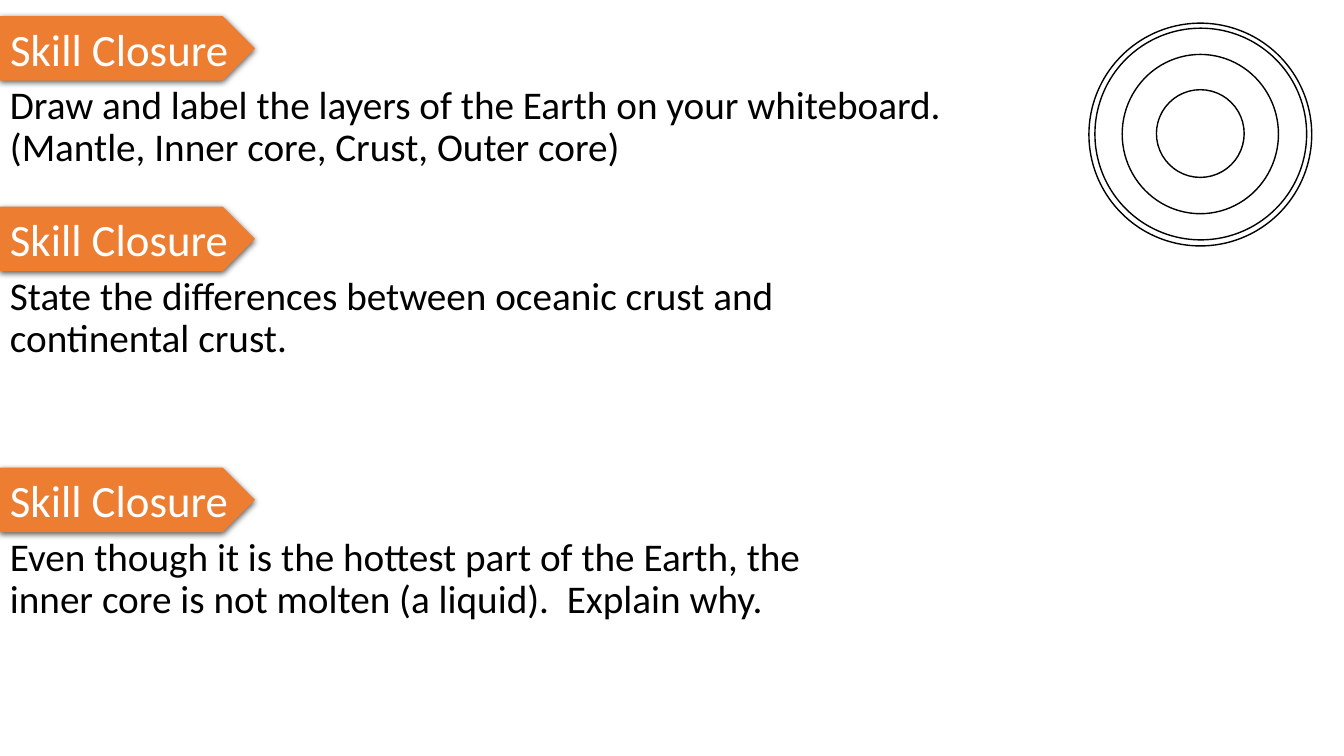
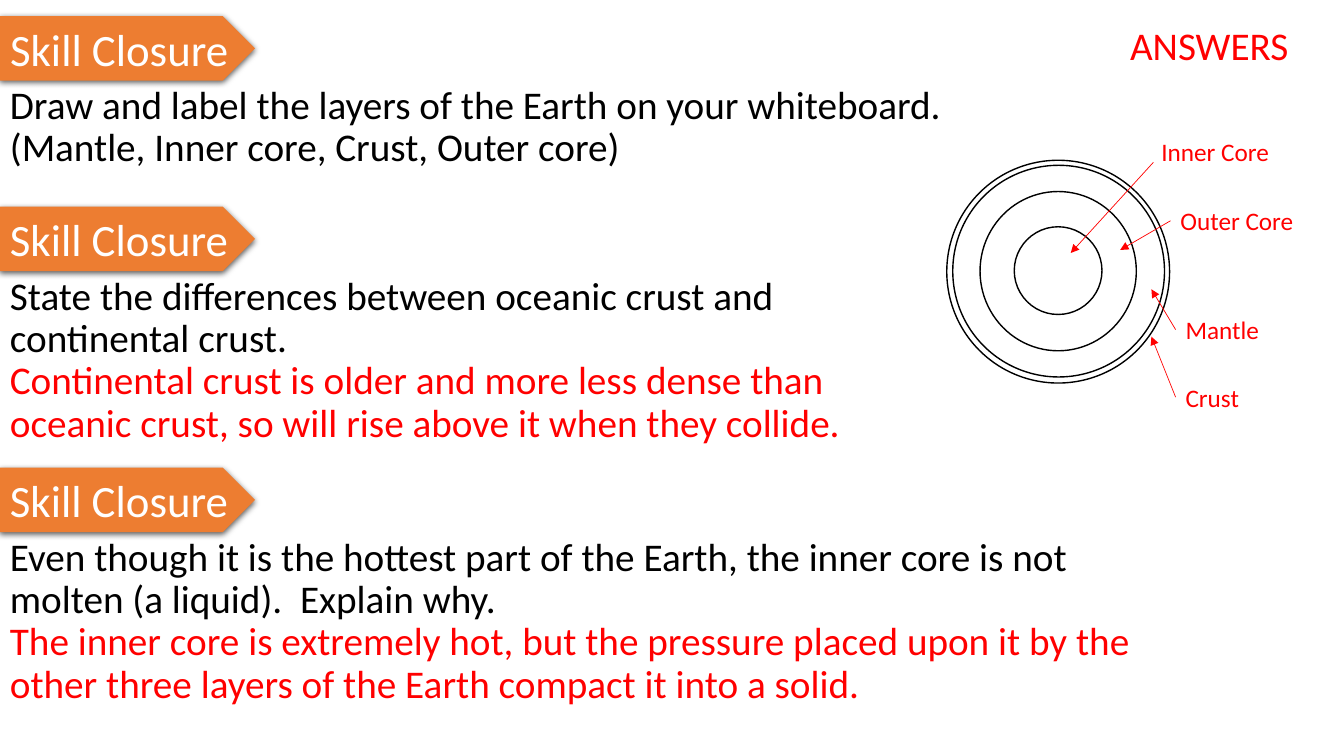
"""Build a question slide and an answer slide on the layers of the Earth."""
from lxml import etree
from pptx import Presentation
from pptx.dml.color import RGBColor
from pptx.enum.shapes import MSO_CONNECTOR, MSO_SHAPE
from pptx.enum.text import MSO_ANCHOR, MSO_AUTO_SIZE as AUTO_SIZE, PP_ALIGN
from pptx.oxml import parse_xml
from pptx.oxml.ns import nsdecls, qn
from pptx.util import Inches, Pt

ORANGE = RGBColor(0xED, 0x7D, 0x31)
RED = RGBColor(0xFF, 0x00, 0x00)
BLACK = RGBColor(0x00, 0x00, 0x00)
WHITE = RGBColor(0xFF, 0xFF, 0xFF)

BANNER_TEXT = "Skill Closure"
BANNER_WIDTH, BANNER_HEIGHT = 2.53, 0.64
BANNER_SHADOW = (
    f'<a:effectLst {nsdecls("a")}><a:outerShdw blurRad="57150" dist="19050" '
    'dir="5400000" algn="ctr" rotWithShape="0"><a:srgbClr val="000000">'
    '<a:alpha val="63000"/></a:srgbClr></a:outerShdw></a:effectLst>'
)

DRAW_TASK = ["Draw and label the layers of the Earth on your whiteboard.",
             "(Mantle, Inner core, Crust, Outer core)"]
CRUST_TASK = ["State the differences between oceanic crust and continental crust."]
CORE_TASK = ["Even though it is the hottest part of the Earth, the inner core is not "
             "molten (a liquid).  Explain why."]
CRUST_ANSWER = ["Continental crust is older and more less dense than oceanic crust, "
                "so will rise above it when they collide."]
CORE_ANSWER = ["The inner core is extremely hot, but the pressure placed upon it by the "
               "other three layers of the Earth compact it into a solid."]

SLIDES = [
    {"globe": (10.8, 0.23),
     "sections": [(0.16, 9.76, 1.06, DRAW_TASK, []),
                  (2.05, 8.92, 1.79, CRUST_TASK, []),
                  (4.64, 8.92, 1.79, CORE_TASK, [])],
     "labels": []},
    {"globe": (9.39, 1.59),
     "sections": [(0.16, 9.76, 1.06, DRAW_TASK, []),
                  (2.05, 8.92, 1.79, CRUST_TASK, CRUST_ANSWER),
                  (4.64, 11.35, 1.79, CORE_TASK, CORE_ANSWER)],
     "labels": [("ANSWERS", 28, 11.11, 0.16, 2.55, 0.57, None, None),
                ("Inner Core", 18, 11.42, 1.3, 1.35, 0.4, (11.44, 1.61), (10.62, 2.51)),
                ("Outer Core", 18, 11.61, 1.99, 1.35, 0.4, None, (11.11, 2.48)),
                ("Mantle", 18, 11.66, 3.07, 1.35, 0.4, None, (11.42, 2.87)),
                ("Crust", 18, 11.66, 3.74, 1.35, 0.4, None, (11.42, 3.34))]},
]
GLOBE_RINGS = [(0.06, 0.05, 2.1, 2.1), (0.33, 0.31, 1.55, 1.58),
               (0.67, 0.66, 0.87, 0.87), (0, 0, 2.21, 2.21)]


def write_text(frame, text, size=28, colour=BLACK, spacing=1.0, wrap=True):
    """Add one left-aligned paragraph to a text frame."""
    frame.word_wrap = wrap
    para = frame.add_paragraph() if frame.text else frame.paragraphs[0]
    para.alignment = PP_ALIGN.LEFT
    para.line_spacing = spacing
    span = para.add_run()
    span.text = text
    span.font.name = "Calibri"
    span.font.size = Pt(size)
    span.font.color.rgb = colour


deck = Presentation()
deck.slide_width, deck.slide_height = Inches(13.33), Inches(7.5)
title_only = deck.slide_layouts[5]

for content in SLIDES:
    page = deck.slides.add_slide(title_only)

    for index, (top, width, height, task, answer) in enumerate(content["sections"]):
        place = [Inches(n) for n in (0, top, BANNER_WIDTH, BANNER_HEIGHT)]
        banner = page.shapes.add_shape(MSO_SHAPE.PENTAGON, *place)
        banner.fill.solid()
        banner.fill.fore_color.rgb = ORANGE
        banner.line.fill.background()
        banner._element.spPr.append(parse_xml(BANNER_SHADOW))
        heading = banner
        if index == 0:
            heading = page.shapes.title
            heading.left, heading.top, heading.width, heading.height = place
            banner._element.addnext(heading._element)
        heading.text_frame.vertical_anchor = MSO_ANCHOR.MIDDLE
        heading.text_frame.auto_size = AUTO_SIZE.NONE
        write_text(heading.text_frame, BANNER_TEXT, size=32, colour=WHITE, wrap=False)

        box = page.shapes.add_textbox(0, Inches(top + BANNER_HEIGHT),
                                      Inches(width), Inches(height))
        for lines, colour in ((task, BLACK), (answer, RED)):
            for line in lines:
                write_text(box.text_frame, line, colour=colour, spacing=0.9)

    globe_left, globe_top = content["globe"]
    globe = page.shapes.add_group_shape()
    for left, top, width, height in GLOBE_RINGS:
        ring = globe.shapes.add_shape(
            MSO_SHAPE.OVAL, Inches(globe_left + left), Inches(globe_top + top),
            Inches(width), Inches(height))
        ring.shadow.inherit = False
        ring.fill.background()
        ring.line.color.rgb = BLACK
        ring.line.width = Pt(1)

    for text, size, left, top, width, height, start, target in content["labels"]:
        label = page.shapes.add_textbox(Inches(left), Inches(top),
                                        Inches(width), Inches(height))
        label.text_frame.auto_size = AUTO_SIZE.SHAPE_TO_FIT_TEXT
        write_text(label.text_frame, text, size=size, colour=RED)
        if target is None:
            continue
        start_x, start_y = start or (left, top + height / 2)
        arrow = page.shapes.add_connector(
            MSO_CONNECTOR.STRAIGHT, Inches(start_x), Inches(start_y),
            Inches(target[0]), Inches(target[1]))
        if start is None:
            arrow.begin_connect(label, 1)
        arrow.line.color.rgb = RED
        arrow.line.width = Pt(0.5)
        etree.SubElement(arrow.line._get_or_add_ln(), qn("a:tailEnd"), type="triangle")
        etree.SubElement(arrow._element.spPr, qn("a:effectLst"))

deck.save("out.pptx")
